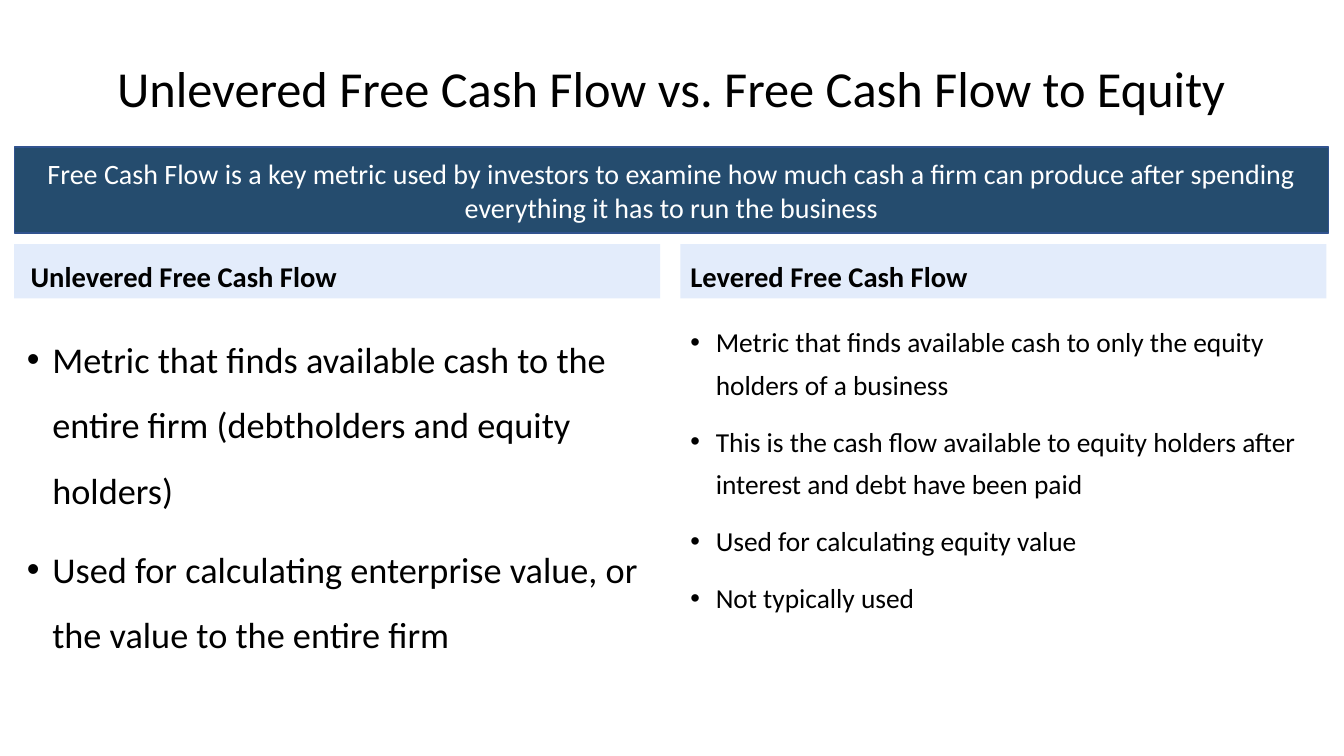
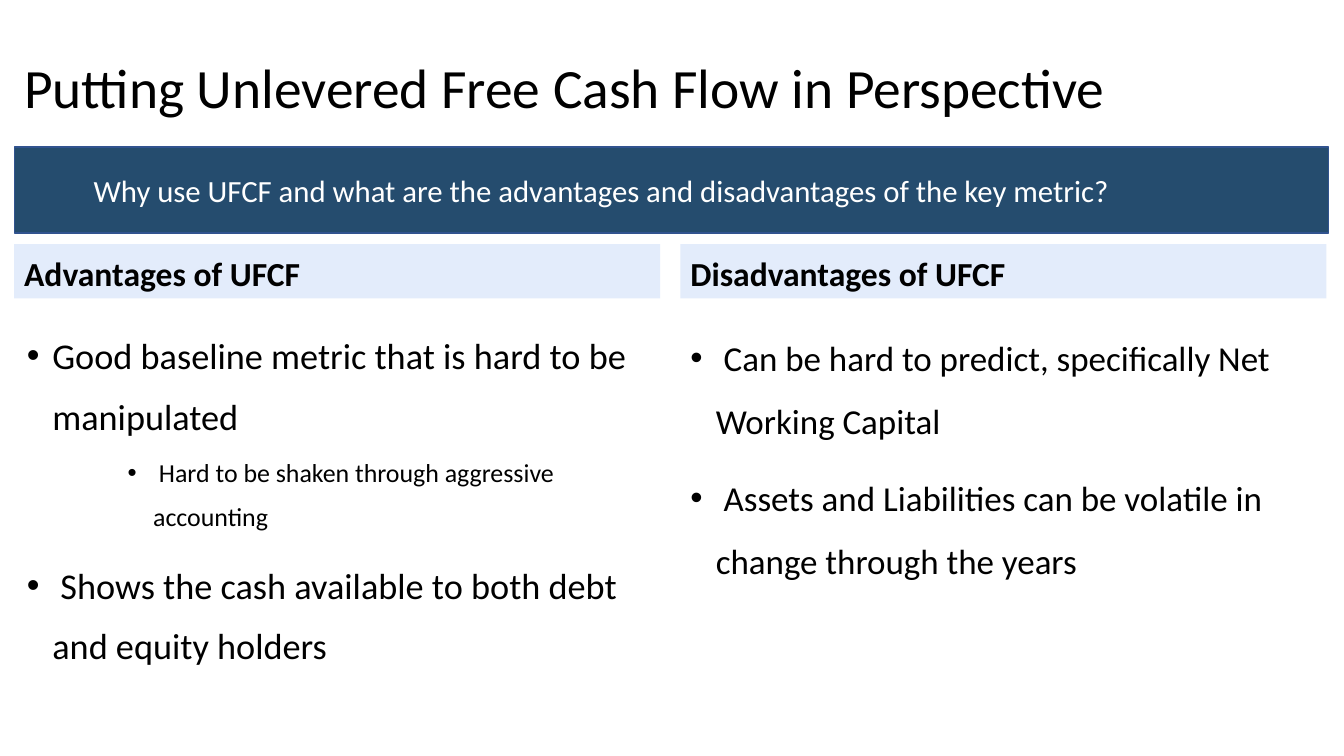
from lxml.etree import SubElement
from pptx import Presentation
from pptx.dml.color import RGBColor
from pptx.enum.shapes import MSO_SHAPE
from pptx.enum.text import MSO_ANCHOR, MSO_AUTO_SIZE, PP_ALIGN
from pptx.oxml.ns import qn
from pptx.util import Cm, Pt

COLORS = {"band": "254C6E", "band_line": "31538F", "heading": "E3ECFB",
          "text": "000000", "band_text": "FFFFFF"}
FONT = "Calibri"
FRAME = {"word_wrap": True, "auto_size": MSO_AUTO_SIZE.NONE,
         "margin_left": Cm(0.25), "margin_right": Cm(0.25),
         "margin_top": Cm(0.13), "margin_bottom": Cm(0.13)}
MARGIN, FULL_WIDTH = 0.36, 33.12
HEADING_WIDTH = 16.28
HEADING_LEFTS = [MARGIN, 17.15]
BODY_LEFTS = [0.43, 17.15]
# Per outline level: left indent in cm, space before in points
LEVELS = [(0.64, 10), (3.18, 5)]
HANGING = 0.64

# A bullet is (level, text, size); spacing is in lines.
SLIDES = [
    {"title": "Unlevered Free Cash Flow vs. Free Cash Flow to Equity",
     "title_size": 36, "align": PP_ALIGN.CENTER,
     "message": "Free Cash Flow is a key metric used by investors to examine how much "
                "cash a firm can produce after spending everything it has to run the business",
     "message_size": 20, "message_margin": 0.25,
     "heading_size": 20.4, "heading_spacing": 1.4,
     "columns": [
         {"heading": " Unlevered Free Cash Flow", "spacing": 1.5, "bullets": [
             (0, "Metric that finds available cash to the entire firm "
                 "(debtholders and equity holders)", 25.9),
             (0, "Used for calculating enterprise value, or the value to the entire firm", 25.9)]},
         {"heading": "Levered Free Cash Flow", "spacing": 1.3, "bullets": [
             (0, "Metric that finds available cash to only the equity holders of a business", 19.6),
             (0, "This is the cash flow available to equity holders after "
                 "interest and debt have been paid", 19.6),
             (0, "Used for calculating equity value", 19.6),
             (0, "Not typically used", 19.6)]}]},
    {"title": "Putting Unlevered Free Cash Flow in Perspective",
     "title_size": 39.6, "align": PP_ALIGN.LEFT,
     "message": "Why use UFCF and what are the advantages and disadvantages of the key metric?",
     "message_size": 22, "message_margin": 2,
     "heading_size": 24, "heading_spacing": 1.5,
     "columns": [
         {"heading": "Advantages of UFCF", "spacing": 1.4, "bullets": [
             (0, "Good baseline metric that is hard to be manipulated", 25.9),
             (1, " Hard to be shaken through aggressive accounting", 18.5),
             (0, " Shows the cash available to both debt and equity holders", 25.9)]},
         {"heading": "Disadvantages of UFCF", "spacing": 1.5, "bullets": [
             (0, " Can be hard to predict, specifically Net Working Capital", 25),
             (0, " Assets and Liabilities can be volatile in change through the years", 25)]}]},
]


def write(paragraph, text, size, color="text", bold=False, **layout):
    """Fill a paragraph; layout holds paragraph attributes such as alignment."""
    run = paragraph.add_run()
    run.text = text
    for name, value in {"name": FONT, "size": Pt(size), "bold": bold}.items():
        setattr(run.font, name, value)
    run.font.color.rgb = RGBColor.from_string(COLORS[color])
    for name, value in layout.items():
        setattr(paragraph, name, value)


def prepare(shape, anchor, fill=None, line=None):
    """Set frame and colours of a shape and return its first paragraph."""
    for name, value in {**FRAME, "vertical_anchor": anchor}.items():
        setattr(shape.text_frame, name, value)
    if fill:
        shape.shadow.inherit = False
        shape.fill.solid()
        shape.fill.fore_color.rgb = RGBColor.from_string(COLORS[fill])
        if line:
            shape.line.color.rgb = RGBColor.from_string(COLORS[line])
            shape.line.width = Pt(1)
        else:
            shape.line.fill.background()
    return shape.text_frame.paragraphs[0]


deck = Presentation()
deck.slide_width, deck.slide_height = Cm(33.87), Cm(19.05)

for content in SLIDES:
    slide = deck.slides.add_slide(deck.slide_layouts[5])
    shapes = slide.shapes

    title = shapes.title
    for name, value in {"left": Cm(MARGIN), "top": Cm(1.02),
                        "width": Cm(FULL_WIDTH), "height": Cm(2.54)}.items():
        setattr(title, name, value)
    write(prepare(title, MSO_ANCHOR.MIDDLE), content["title"], content["title_size"],
          alignment=content["align"], line_spacing=0.9)

    band = shapes.add_shape(MSO_SHAPE.RECTANGLE, Cm(MARGIN), Cm(3.71), Cm(FULL_WIDTH), Cm(2.16))
    message = prepare(band, MSO_ANCHOR.MIDDLE, "band", "band_line")
    band.text_frame.margin_left = Cm(content["message_margin"])
    write(message, content["message"], content["message_size"], "band_text",
          alignment=content["align"])

    for column, heading_left, body_left in zip(content["columns"], HEADING_LEFTS, BODY_LEFTS):
        heading = shapes.add_shape(MSO_SHAPE.RECTANGLE, Cm(heading_left), Cm(6.15),
                                   Cm(HEADING_WIDTH), Cm(1.37))
        write(prepare(heading, MSO_ANCHOR.BOTTOM, "heading"), column["heading"],
              content["heading_size"], bold=True, alignment=PP_ALIGN.LEFT,
              line_spacing=content["heading_spacing"])

        body = shapes.add_textbox(Cm(body_left), Cm(7.82),
                                  Cm(heading_left + HEADING_WIDTH - body_left), Cm(9.37))
        first = prepare(body, MSO_ANCHOR.TOP)
        for index, (level, text, size) in enumerate(column["bullets"]):
            bullet = body.text_frame.add_paragraph() if index else first
            indent, before = LEVELS[level]
            write(bullet, text, size, level=level, line_spacing=column["spacing"],
                  space_before=Pt(before if index else 0))
            properties = bullet._p.get_or_add_pPr()
            properties.set("marL", str(Cm(indent)))
            properties.set("indent", str(-Cm(HANGING)))
            SubElement(properties, qn("a:buFont"), typeface="Arial")
            SubElement(properties, qn("a:buChar"), char="•")

deck.save("out.pptx")
